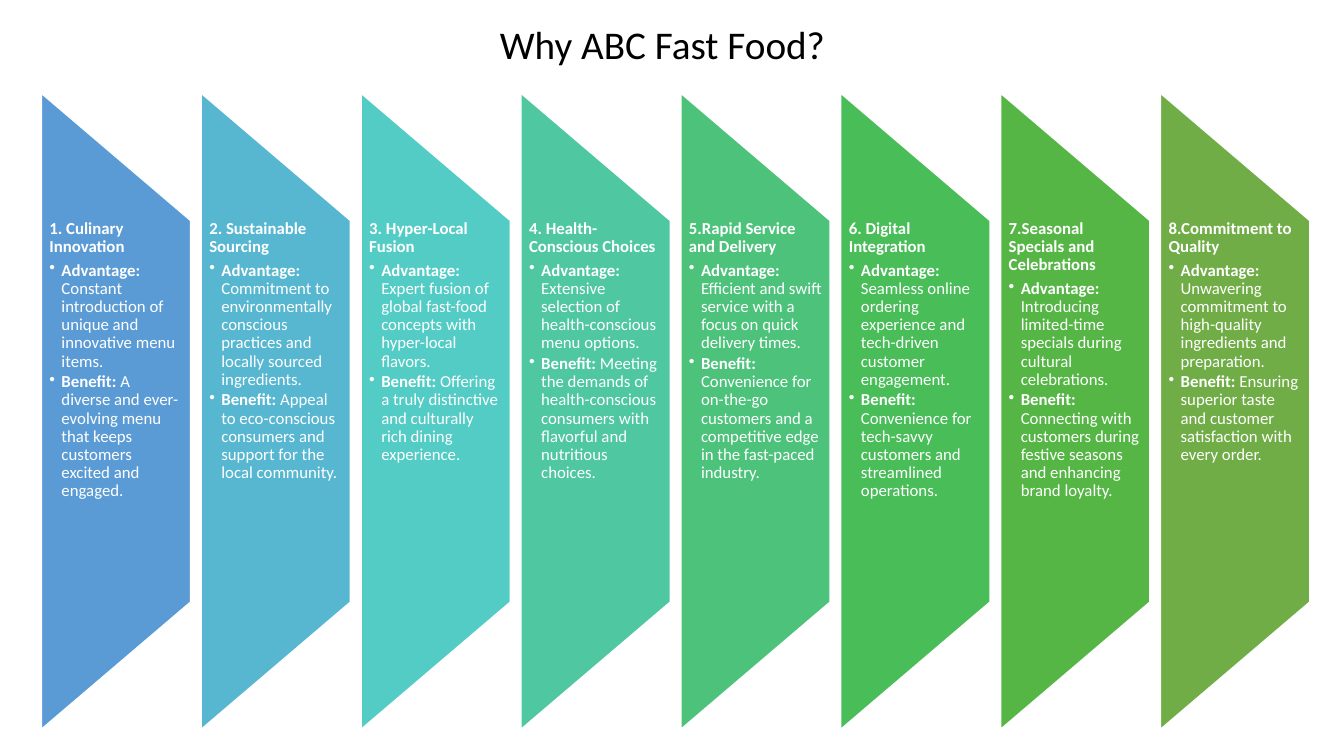
from lxml import etree
from pptx import Presentation
from pptx.dml.color import RGBColor
from pptx.enum.shapes import MSO_SHAPE
from pptx.enum.text import MSO_ANCHOR, MSO_AUTO_SIZE
from pptx.oxml.ns import qn
from pptx.util import Emu, Inches, Pt

BANNER = MSO_SHAPE.FLOWCHART_MANUAL_OPERATION
TOP = MSO_ANCHOR.TOP
GROW = MSO_AUTO_SIZE.SHAPE_TO_FIT_TEXT
FONT = "Calibri"
BLACK = RGBColor(0x00, 0x00, 0x00)
WHITE = RGBColor(0xFF, 0xFF, 0xFF)

# Column grid, in inches
FIRST_LEFT, LAST_LEFT = 0.41, 11.51
COLUMN_WIDTH = 1.48
BANNER_HEIGHT, BANNER_MIDDLE = 6.31, 4.08
TEXT_TOP, TEXT_HEIGHT = 2.18, 3.79
BULLET_INDENT = Inches(0.12)

# Colour, heading, advantage, benefit
REASONS = [
    (RGBColor(0x5B, 0x9B, 0xD5), "1. Culinary Innovation",
     "Constant introduction of unique and innovative menu items.",
     "A diverse and ever-evolving menu that keeps customers excited and engaged."),
    (RGBColor(0x57, 0xB7, 0xD1), "2. Sustainable Sourcing",
     "Commitment to environmentally conscious practices and locally sourced ingredients.",
     "Appeal to eco-conscious consumers and support for the local community."),
    (RGBColor(0x53, 0xCC, 0xC5), "3. Hyper-Local Fusion",
     "Expert fusion of global fast-food concepts with hyper-local flavors.",
     "Offering a truly distinctive and culturally rich dining experience."),
    (RGBColor(0x4F, 0xC7, 0xA0), "4. Health-Conscious Choices",
     "Extensive selection of health-conscious menu options.",
     "Meeting the demands of health-conscious consumers with flavorful and nutritious choices."),
    (RGBColor(0x4C, 0xC2, 0x7B), "5.Rapid Service and Delivery",
     "Efficient and swift service with a focus on quick delivery times.",
     "Convenience for on-the-go customers and a competitive edge in the fast-paced industry."),
    (RGBColor(0x48, 0xBD, 0x58), "6. Digital Integration",
     "Seamless online ordering experience and tech-driven customer engagement.",
     "Convenience for tech-savvy customers and streamlined operations."),
    (RGBColor(0x55, 0xB6, 0x46), "7.Seasonal Specials and Celebrations",
     "Introducing limited-time specials during cultural celebrations.",
     "Connecting with customers during festive seasons and enhancing brand loyalty."),
    (RGBColor(0x70, 0xAD, 0x47), "8.Commitment to Quality",
     "Unwavering commitment to high-quality ingredients and preparation.",
     "Ensuring superior taste and customer satisfaction with every order."),
]


def add_run(paragraph, text, size, color, bold=False):
    run = paragraph.add_run()
    run.text = text
    run.font.name = FONT
    run.font.size = Pt(size)
    run.font.bold = bold
    run.font.color.rgb = color


def add_bullet(frame, label, text):
    """Add a bulleted paragraph that opens with a bold label."""
    point = frame.add_paragraph()
    point.level = 1
    point.line_spacing = 0.9
    point.space_after = Pt(1.8)
    properties = point._p.get_or_add_pPr()
    properties.set("marL", str(BULLET_INDENT))
    properties.set("indent", str(-BULLET_INDENT))
    etree.SubElement(properties, qn("a:buChar")).set("char", "•")
    add_run(point, label, 12, WHITE, bold=True)
    add_run(point, " " + text, 12, WHITE)


prs = Presentation()
prs.slide_width = Inches(13.33)
prs.slide_height = Inches(7.5)
slide = prs.slides.add_slide(prs.slide_layouts[6])

title = slide.shapes.add_textbox(Inches(4.86), Inches(0.15), Inches(3.62), Inches(0.57))
title.text_frame.word_wrap = True
title.text_frame.auto_size = GROW
add_run(title.text_frame.paragraphs[0], "Why ABC Fast Food?", 28, BLACK)

pitch = (LAST_LEFT - FIRST_LEFT) / (len(REASONS) - 1)
for column, (color, heading, advantage, benefit) in enumerate(REASONS):
    left = FIRST_LEFT + column * pitch

    # The banner is laid out flat, then turned upright about its centre
    banner = slide.shapes.add_shape(
        BANNER,
        Inches(left + (COLUMN_WIDTH - BANNER_HEIGHT) / 2),
        Inches(BANNER_MIDDLE - COLUMN_WIDTH / 2),
        Inches(BANNER_HEIGHT), Inches(COLUMN_WIDTH))
    banner.rotation = 270
    banner.shadow.inherit = False
    banner.fill.solid()
    banner.fill.fore_color.rgb = color
    banner.line.color.rgb = WHITE
    banner.line.width = Pt(1)

    reason = slide.shapes.add_textbox(
        Inches(left), Inches(TEXT_TOP), Inches(COLUMN_WIDTH), Inches(TEXT_HEIGHT))
    frame = reason.text_frame
    frame.word_wrap = True
    frame.vertical_anchor = TOP
    frame.margin_left = frame.margin_right = Inches(0.08)
    frame.margin_top = frame.margin_bottom = Emu(0)

    headline = frame.paragraphs[0]
    headline.line_spacing = 0.9
    headline.space_after = Pt(4.2)
    add_run(headline, heading, 12, WHITE, bold=True)
    add_bullet(frame, "Advantage:", advantage)
    add_bullet(frame, "Benefit:", benefit)

prs.save("out.pptx")
